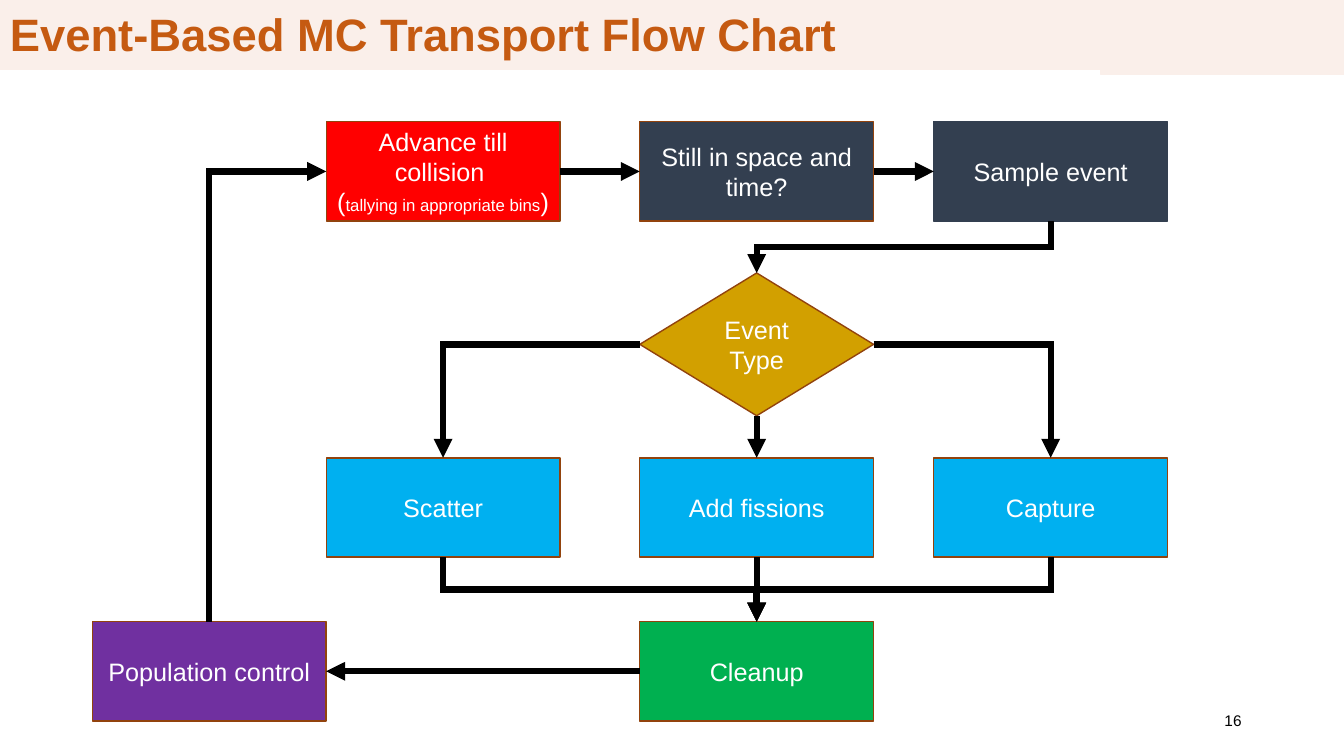
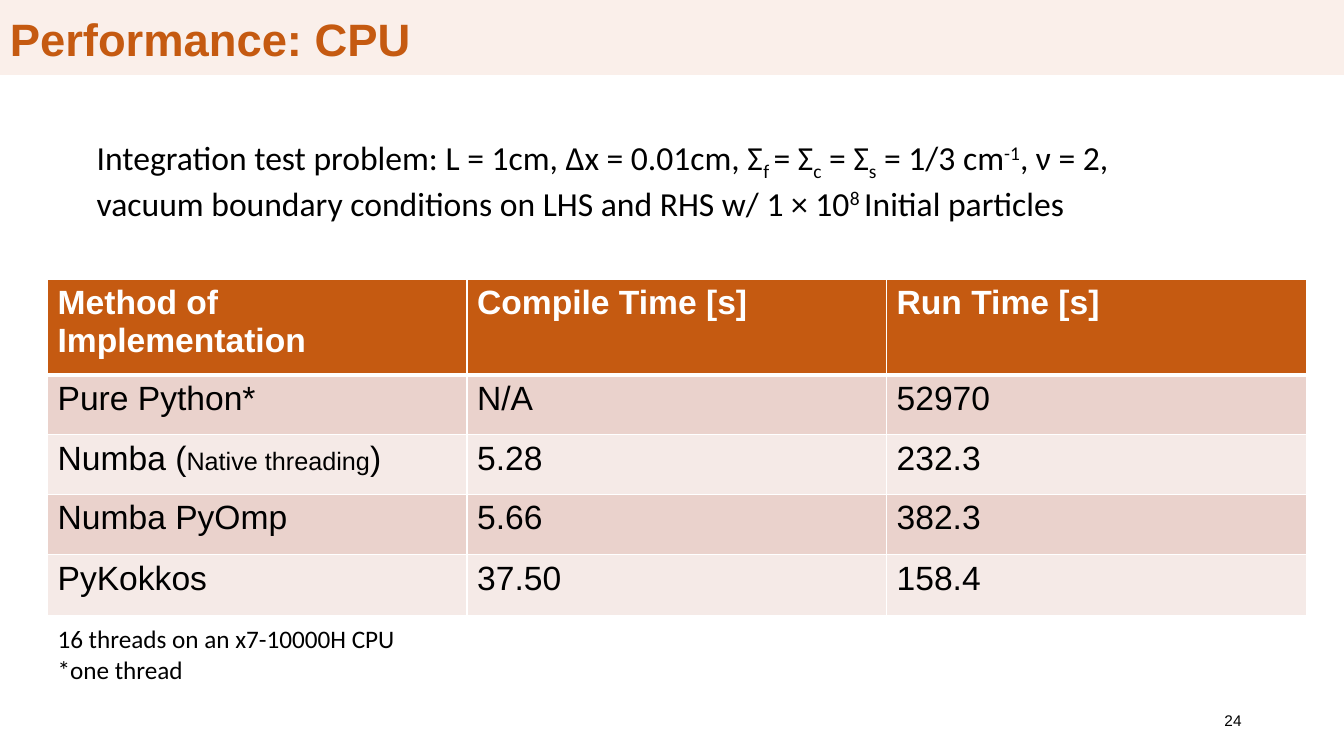
from dataclasses import dataclass

from pptx import Presentation, util as u
from pptx.dml.color import RGBColor
from pptx.enum import shapes, text
from pptx.oxml import ns, xmlchemy as xc

Pt = u.Pt
GEO, LINK = shapes.MSO_SHAPE, shapes.MSO_CONNECTOR
MID, TOP_AT = text.MSO_ANCHOR.MIDDLE, text.MSO_ANCHOR.TOP
LEFT_AL, MID_AL, RIGHT_AL = (
    text.PP_ALIGN.LEFT, text.PP_ALIGN.CENTER, text.PP_ALIGN.RIGHT)
TOP, LEFT, LOW, RIGHT = range(4)  # connection sites of a shape


@dataclass(frozen=True)
class Theme:
    # Colours
    band: str = "FAEFEA"
    head: str = "C55A11"
    ink: str = "000000"
    white: str = "FFFFFF"
    edge: str = "92430D"
    red: str = "FF0000"
    slate: str = "333F50"
    gold: str = "D2A000"
    blue: str = "00B0F0"
    green: str = "00B050"
    plum: str = "7030A0"
    rows: tuple = ("EAD2CC", "F5EAE7")
    # Fonts and sizes
    sans: str = "Arial"
    body: str = "Calibri"
    title: float = 32.4
    large: int = 24
    base: int = 18
    small: int = 12
    num: int = 11
    arrow: float = 4.5


def rgb(hue):
    return RGBColor.from_string(hue)


def apply(item, vals):
    for key, val in vals.items():
        setattr(item, key, val)


def add(node, tag, **vals):
    """Append a child element with attributes."""
    kid = xc.OxmlElement(tag)
    for key, val in vals.items():
        kid.set(key, str(val))
    node.append(kid)
    return kid


class Deck:
    def __init__(self, theme):
        self.look = theme
        self.prs = Presentation()
        apply(self.prs, {"slide_width": Pt(960), "slide_height": Pt(540)})
        self.page = None

    def start(self, title, num, top=0):
        """Add a slide with its band, title and number."""
        look = self.look
        self.page = self.prs.slides.add_slide(self.prs.slide_layouts[6])
        self.shape((786, 0, 174, 53), look.band, look.band)
        bar = self.shape((0, top, 833, 53), look.band, look.band, wide=0.75)
        self.words(bar.text_frame, [[title]], look.title, look.head,
                   bold=True, space=0.9, pad=(7, 0))
        self.label((678, 500, 216, 29), [[num]], look.num, look.sans,
                   align=RIGHT_AL, anchor=MID)

    def shape(self, area, fill, edge, kind=GEO.RECTANGLE, wide=1):
        item = self.page.shapes.add_shape(kind, *map(Pt, area))
        item.shadow.inherit = False
        item.fill.solid()
        item.fill.fore_color.rgb = rgb(fill)
        item.line.color.rgb = rgb(edge)
        item.line.width = Pt(wide)
        return item

    def words(self, frame, paras, size, hue, font=None, bold=False,
              align=LEFT_AL, anchor=MID, space=None, pad=(3.6, 3.6)):
        """Fill a frame; a run is a string or (string, size, baseline)."""
        apply(frame, {"word_wrap": True, "vertical_anchor": anchor,
                      "margin_top": Pt(pad[0]), "margin_bottom": Pt(pad[1])})
        for i, runs in enumerate(paras):
            para = frame.add_paragraph() if i else frame.paragraphs[0]
            apply(para, {"alignment": align, "line_spacing": space})
            for part in runs:
                says, own, shift = (
                    (part, size, 0) if isinstance(part, str) else part)
                run = para.add_run()
                run.text = says
                apply(run.font, {"name": font or self.look.sans,
                                 "size": Pt(own), "bold": bold})
                run.font.color.rgb = rgb(hue)
                if shift:
                    run.font._element.set("baseline", str(shift * 1000))

    def label(self, area, paras, size, font, align=LEFT_AL, anchor=TOP_AT):
        item = self.page.shapes.add_textbox(*map(Pt, area))
        self.words(item.text_frame, paras, size, self.look.ink, font,
                   align=align, anchor=anchor)

    def box(self, area, paras, fill, edge=None, kind=GEO.RECTANGLE):
        look = self.look
        item = self.shape(area, fill, edge or look.edge, kind)
        self.words(item.text_frame, paras, look.base, look.white,
                   align=MID_AL)
        return item

    def arrow(self, a, out, b, into):
        """Join two shapes; the sites decide how the line bends."""
        line = self.page.shapes.add_connector(LINK.ELBOW, 0, 0, 0, 0)
        line.begin_connect(a, out)
        line.end_connect(b, into)
        prop = line._element.spPr
        form = prop.find(ns.qn("a:prstGeom"))
        dx = line.end_x - line.begin_x
        dy = line.end_y - line.begin_y
        if not dx or not dy:
            form.set("prst", "line")
        else:
            if (out - into) % 2:
                form.set("prst", "bentConnector2")
            if out in (TOP, LOW):
                self.turn(line, dx, dy)
        # Stroke and head
        line.line.color.rgb = rgb(self.look.ink)
        line.line.width = Pt(self.look.arrow)
        pen = prop.find(ns.qn("a:ln"))
        add(pen, "a:miter", lim=800000)
        add(pen, "a:tailEnd", type="triangle")
        add(prop, "a:effectLst")

    def turn(self, line, dx, dy):
        """Rotate a bent line so that it leaves vertically."""
        midx = line.begin_x + dx // 2
        midy = line.begin_y + dy // 2
        wide, high = abs(dy), abs(dx)
        apply(line, {"left": midx - wide // 2, "top": midy - high // 2,
                     "width": wide, "height": high})
        frame = line._element.spPr.find(ns.qn("a:xfrm"))
        for key, val in {"rot": 5400000, "flipH": int(dy < 0),
                         "flipV": int(dx > 0)}.items():
            frame.set(key, str(val))

    def table(self, area, rows, highs):
        look = self.look
        grid = self.page.shapes.add_table(
            len(rows), len(rows[0]), *map(Pt, area)).table
        for i, (row, high) in enumerate(zip(rows, highs)):
            grid.rows[i].height = Pt(high)
            fill = look.rows[(i - 1) % 2] if i else look.head
            for j, runs in enumerate(row):
                cell = grid.cell(i, j)
                self.words(cell.text_frame, [runs], look.large,
                           look.ink if i else look.white, bold=not i)
                cell.vertical_anchor = TOP_AT
                self.edges(cell, 3 if i == 1 else 1, 1 if i else 3)
                cell.fill.solid()
                cell.fill.fore_color.rgb = rgb(fill)

    def edges(self, cell, top, low):
        prop = cell._tc.get_or_add_tcPr()
        for side, wide in {"L": 1, "R": 1, "T": top, "B": low}.items():
            pen = add(prop, "a:ln" + side, w=int(Pt(wide)))
            add(add(pen, "a:solidFill"), "a:srgbClr", val=self.look.white)


def flow(deck):
    """Flow chart of the transport loop."""
    look = deck.look
    deck.start("Event-Based MC Transport Flow Chart", "16", top=-3.6)
    cols, rows = (66, 233, 457, 667), (87, 327, 444)
    wide, high = 167, 71

    # Boxes: column, row, text, fill, edge
    plan = {
        "move": (1, 0, [["Advance till collision "],
                        ["(", ("tallying in appropriate bins",
                               look.small, 0), ")"]], look.red, None),
        "check": (2, 0, [["Still in space and time?"]], look.slate, None),
        "pick": (3, 0, [["Sample event"]], look.slate, look.slate),
        "scat": (1, 1, [["Scatter"]], look.blue, None),
        "fiss": (2, 1, [["Add fissions"]], look.blue, None),
        "capt": (3, 1, [["Capture"]], look.blue, None),
        "clean": (2, 2, [["Cleanup"]], look.green, None),
        "pop": (0, 2, [["Population control"]], look.plum, None),
    }
    node = {name: deck.box((cols[c], rows[r], wide, high), *rest)
            for name, (c, r, *rest) in plan.items()}
    node["type"] = deck.box((cols[2], 195, wide, 102), [["Event Type"]],
                            look.gold, kind=GEO.FLOWCHART_DECISION)

    # Arrows
    for a, out, b, into in (
            ("move", RIGHT, "check", LEFT), ("check", RIGHT, "pick", LEFT),
            ("pick", LOW, "type", TOP), ("type", LOW, "fiss", TOP),
            ("type", LEFT, "scat", TOP), ("type", RIGHT, "capt", TOP),
            ("fiss", LOW, "clean", TOP), ("scat", LOW, "clean", TOP),
            ("capt", LOW, "clean", TOP), ("clean", LEFT, "pop", RIGHT),
            ("pop", TOP, "move", LEFT)):
        deck.arrow(node[a], out, node[b], into)


def speed(deck):
    """Table of CPU timings."""
    look = deck.look
    deck.start("Performance: CPU", "24")

    # Timings
    deck.table((34, 199.5, 899, 240), [
        [["Method of Implementation"], ["Compile Time [s]"],
         ["Run Time [s]"]],
        [["Pure Python*"], ["N/A"], ["52970"]],
        [["Numba (", ("Native threading", look.base, 0), ")"],
         ["5.28"], ["232.3"]],
        [["Numba PyOmp"], ["5.66"], ["382.3"]],
        [["PyKokkos"], ["37.50"], ["158.4"]],
    ], (68.5, 42.5, 42.5, 43.2, 43.2))

    # Problem statement
    def sub(says):
        return says, look.large, -25

    def sup(says):
        return says, look.large, 30

    deck.label((62, 94, 871, 66), [
        ["Integration test problem: L = 1cm, Δx = 0.01cm, Σ", sub("f "),
         "= Σ", sub("c"), " = Σ", sub("s"), " = 1/3 cm", sup("-1"),
         ", ν = 2,"],
        ["vacuum boundary conditions on LHS and RHS w/ 1 × 10", sup("8 "),
         "Initial particles"],
    ], look.large, look.body)

    # Footnotes
    deck.label((34, 442, 840, 51), [
        ["16 threads on an x7-10000H CPU"], ["*one thread"],
    ], look.base, look.body)


def main():
    deck = Deck(Theme())
    flow(deck)
    speed(deck)
    deck.prs.save("out.pptx")


if __name__ == "__main__":
    main()
